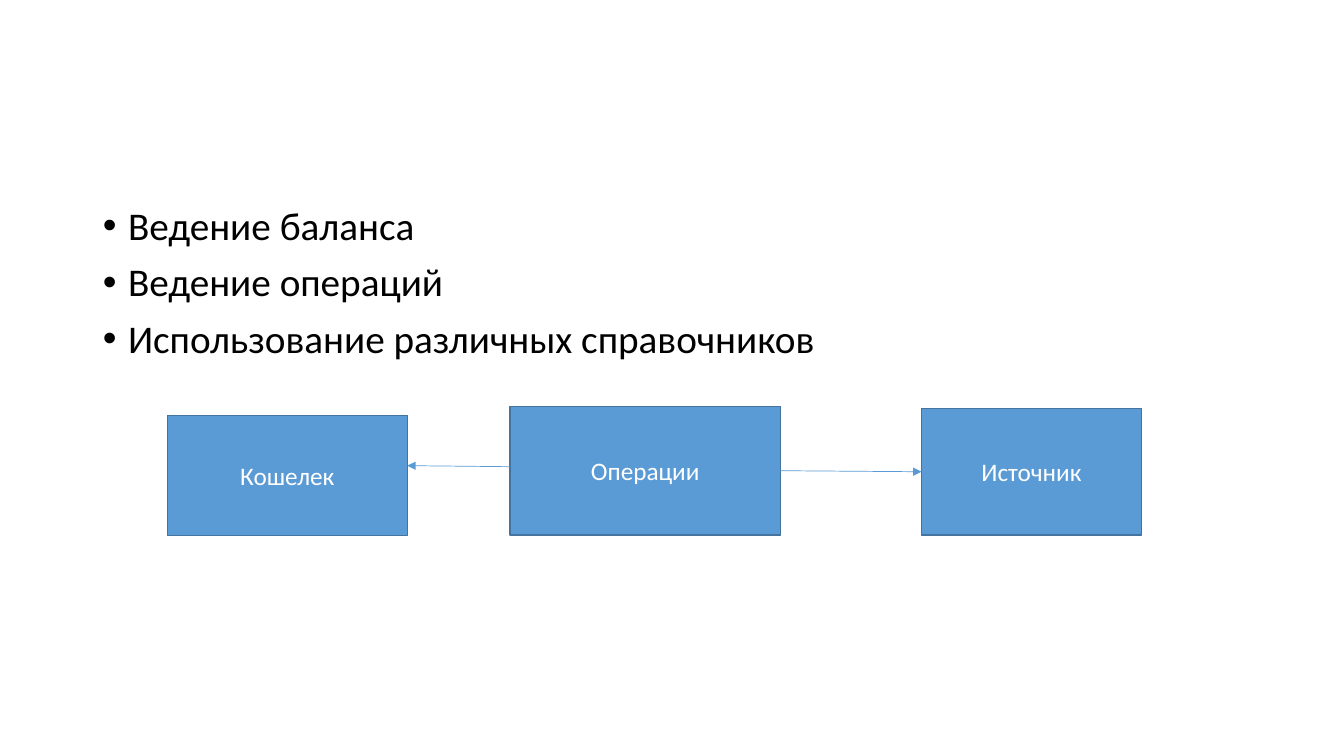
import pptx
import pptx.dml.color
import pptx.enum.shapes
import pptx.enum.text
import pptx.oxml.ns
import pptx.util
from lxml import etree
from pptx.util import Inches

COLORS = {"text": "000000", "box": "5B9BD5", "outline": "43739E", "label": "FFFFFF"}
FONT = "Calibri"


def rgb(name):
    return pptx.dml.color.RGBColor.from_string(COLORS[name])


def set_font(paragraph, size, color):
    paragraph.font.name = FONT
    paragraph.font.size = pptx.util.Pt(size)
    paragraph.font.color.rgb = rgb(color)


presentation = pptx.Presentation()
presentation.slide_width = Inches(13.33)
presentation.slide_height = Inches(7.5)

# Title and content layout, without its title
slide = presentation.slides.add_slide(presentation.slide_layouts[1])
title = slide.shapes.title.element
title.getparent().remove(title)

# Bullet list
body = slide.placeholders[1]
body.left, body.top = Inches(0.92), Inches(2)
body.width, body.height = Inches(11.5), Inches(4.76)
features = ["Ведение баланса", "Ведение операций", "Использование различных справочников"]
body.text_frame.text = "\n".join(features)
for paragraph in body.text_frame.paragraphs:
    paragraph.line_spacing = 0.9
    paragraph.space_before = pptx.util.Pt(10)
    properties = paragraph._p.get_or_add_pPr()
    properties.set("marL", str(Inches(0.25)))
    properties.set("indent", str(Inches(-0.25)))
    etree.SubElement(properties, pptx.oxml.ns.qn("a:buFont")).set("typeface", "Arial")
    etree.SubElement(properties, pptx.oxml.ns.qn("a:buChar")).set("char", "•")
    set_font(paragraph, 28, "text")

# Boxes: label, left, top, width, height
boxes = {}
for label, *bounds in [
    ("Кошелек", 1.66, 4.12, 2.38, 1.19),
    ("Операции", 5.06, 4.03, 2.68, 1.28),
    ("Источник", 9.14, 4.05, 2.18, 1.26),
]:
    box = slide.shapes.add_shape(
        pptx.enum.shapes.MSO_SHAPE.RECTANGLE, *[Inches(value) for value in bounds]
    )
    box.shadow.inherit = False
    box.fill.solid()
    box.fill.fore_color.rgb = rgb("box")
    box.line.color.rgb = rgb("outline")
    box.line.width = pptx.util.Pt(1)
    box.text_frame.text = label
    box.text_frame.vertical_anchor = pptx.enum.text.MSO_ANCHOR.MIDDLE
    paragraph = box.text_frame.paragraphs[0]
    paragraph.alignment = pptx.enum.text.PP_ALIGN.CENTER
    set_font(paragraph, 18, "label")
    boxes[label] = box

# Arrows from the operations box to its neighbours
arrows = []
for ends in [(5.06, 4.63, 4.04, 4.62), (7.74, 4.67, 9.14, 4.68)]:
    arrow = slide.shapes.add_connector(
        pptx.enum.shapes.MSO_CONNECTOR.STRAIGHT, *[Inches(value) for value in ends]
    )
    arrow.line.color.rgb = rgb("box")
    arrow.line.width = pptx.util.Pt(0.5)
    line = arrow.line._get_or_add_ln()
    etree.SubElement(line, pptx.oxml.ns.qn("a:tailEnd")).set("type", "triangle")
    etree.SubElement(arrow.element.spPr, pptx.oxml.ns.qn("a:effectLst"))
    arrows.append(arrow)

# Only the right arrow runs between the middles of two sides
arrows[1].begin_connect(boxes["Операции"], 3)
arrows[1].end_connect(boxes["Источник"], 1)

presentation.save("out.pptx")
